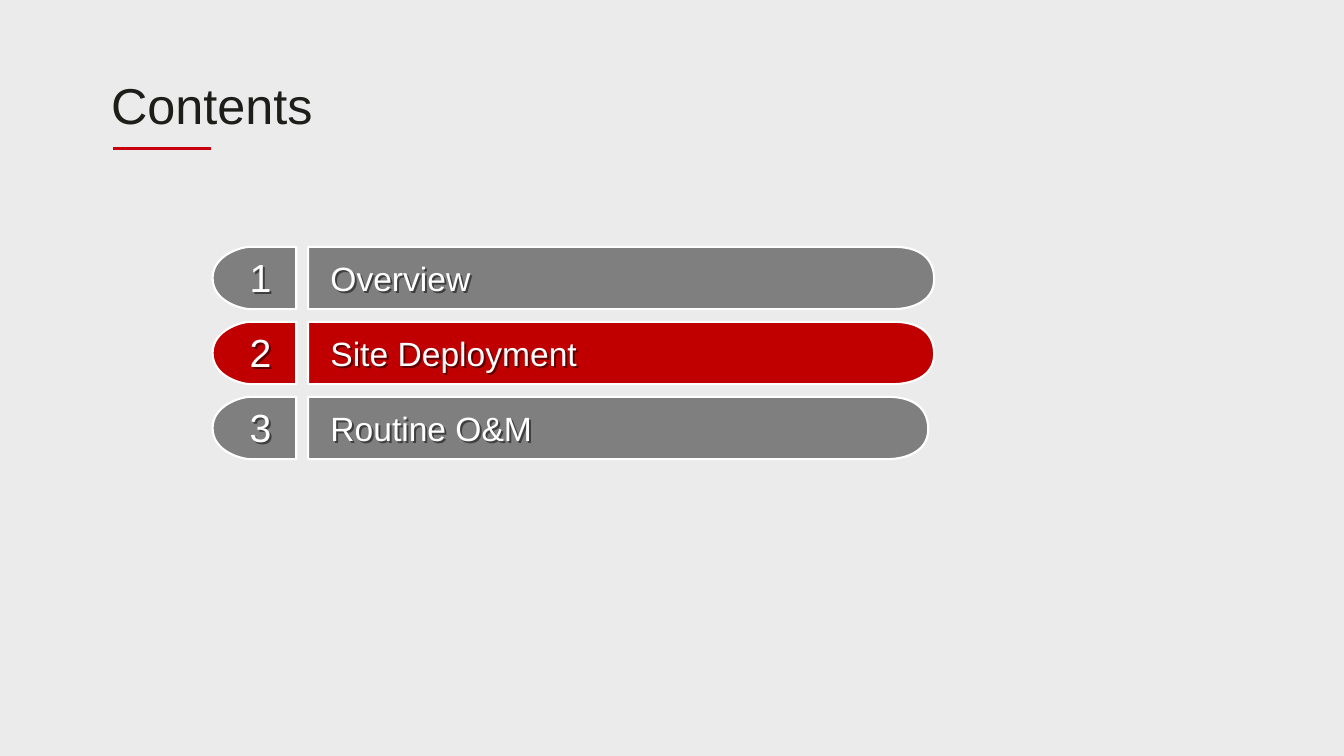
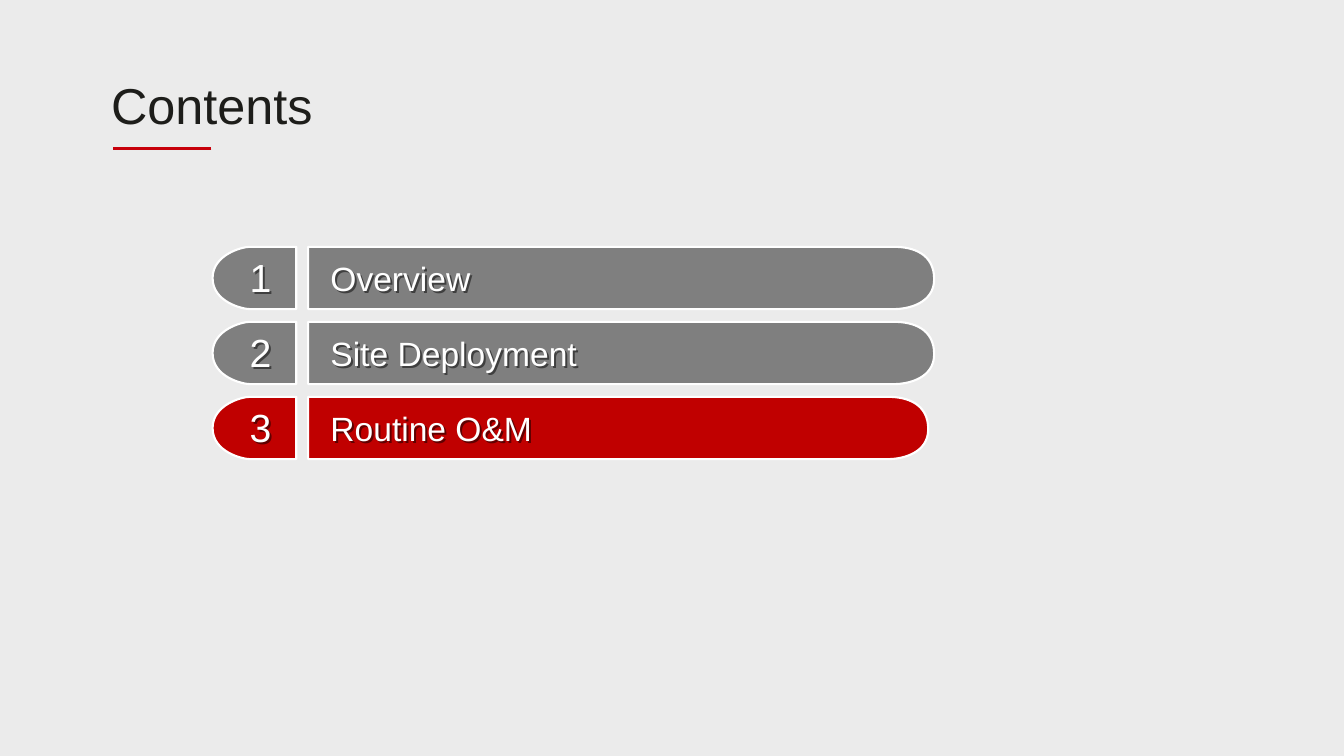
from lxml import etree
from pptx import Presentation
from pptx.dml.color import RGBColor
from pptx.enum.shapes import MSO_CONNECTOR
from pptx.enum.text import MSO_AUTO_SIZE, PP_ALIGN
from pptx.oxml import parse_xml
from pptx.oxml.ns import nsdecls, qn
from pptx.util import Cm, Pt

# Shared style
FONT = "Arial"
PAPER, INK, RULE = "EBEBEB", "1D1D1A", "C7000B"
WHITE, GREY, ACTIVE = "FFFFFF", "7F7F7F", "C00000"

# Agenda: label, label width and bar width in cm
AGENDA = [("Overview", 12.47, 15.78),
          ("Site Deployment", 14.63, 15.78),
          ("Routine O&M", 11.56, 15.63)]
AGENDA_LEFT, AGENDA_TOP, ROW_PITCH, ROW_H = 5.36, 6.22, 1.89, 1.57
TAB_W, GAP = 2.11, 0.3

# Rounded ends: depth in cm, then the start and the control points of two
# Bezier curves as (depth, height) fractions
BAR_CAP = 1.02, [(0, 1), (.38, 1), (1, .9), (1, .52), (1, .11), (.48, 0), (0, 0)]
TAB_CAP = 0.94, [(0, 1), (.19, 1), (1, .89), (1, .5), (1, .13), (.22, 0), (0, 0)]


def rgb(value):
    return RGBColor.from_string(value)


def add_text(shapes, box, text, size, color, align=PP_ALIGN.LEFT, wrap=True):
    tb = shapes.add_textbox(*map(Cm, box))
    tf = tb.text_frame
    tf.text = text
    tf.word_wrap = wrap
    tf.auto_size = MSO_AUTO_SIZE.SHAPE_TO_FIT_TEXT
    p = tf.paragraphs[0]
    p.alignment = align
    r = p.runs[0]
    r.font.size = Pt(size)
    r.font.name = FONT
    r.font.color.rgb = rgb(color)
    return tb


def add_text_shadow(tb):
    tb._element.spPr.append(parse_xml(
        f'<a:effectLst {nsdecls("a")}><a:outerShdw dist="25400" dir="2700000">'
        '<a:srgbClr val="000000"><a:alpha val="50000"/></a:srgbClr>'
        '</a:outerShdw></a:effectLst>'))


def curve_through(segments):
    """Turn three line segments into one Bezier curve with the same points."""
    curve = etree.Element(qn("a:cubicBezTo"))
    segments[0].addprevious(curve)
    for segment in segments:
        curve.append(segment[0])
        segment.getparent().remove(segment)


def add_pill(shapes, flat_x, y, width, cap, direction, color):
    """Draw a bar flat at flat_x and rounded at its far end (direction 1 or -1)."""
    depth, cap_points = cap
    cap_x = flat_x + direction * (width - depth)
    points = [(flat_x, y + ROW_H)]
    points += [(cap_x + direction * depth * dx, y + ROW_H * dy) for dx, dy in cap_points]
    fb = shapes.build_freeform(Cm(flat_x), Cm(y))
    fb.add_line_segments([(Cm(px), Cm(py)) for px, py in points])
    sp = fb.convert_to_shape()
    segments = list(sp._element.iter(qn("a:lnTo")))
    curve_through(segments[2:5])
    curve_through(segments[5:8])
    sp.shadow.inherit = False
    sp.fill.solid()
    sp.fill.fore_color.rgb = rgb(color)
    sp.line.color.rgb = rgb(WHITE)
    sp.line.width = Pt(1.5)


def add_title(s, x, y):
    line = s.shapes.add_connector(MSO_CONNECTOR.STRAIGHT, Cm(x + 2.78), Cm(y + 1.99),
                                  Cm(x + 0.31), Cm(y + 1.99))
    line.line.color.rgb = rgb(RULE)
    line.line.width = Pt(2.25)
    etree.SubElement(line._element.spPr, qn("a:effectLst"))
    add_text(s.shapes, (x, y, 5.64, 1.8), "Contents", 36, INK, wrap=False)


def add_row(s, x, y, number, label, label_w, bar_w, color):
    shapes = s.shapes.add_group_shape().shapes
    bar_x = x + TAB_W + GAP
    add_pill(shapes, bar_x, y, bar_w, BAR_CAP, 1, color)
    add_pill(shapes, x + TAB_W, y, TAB_W, TAB_CAP, -1, color)
    add_text_shadow(add_text(shapes, (bar_x + 0.31, y + 0.15, label_w, 1.27),
                             label, 24, WHITE))
    add_text_shadow(add_text(shapes, (x + 0.67, y + 0.05, 1.07, 1.45),
                             str(number), 28, WHITE, PP_ALIGN.CENTER))


def add_contents_slide(prs, active):
    s = prs.slides.add_slide(prs.slide_layouts[6])
    s.background.fill.solid()
    s.background.fill.fore_color.rgb = rgb(PAPER)
    add_title(s, 2.55, 1.75)
    for i, (label, label_w, bar_w) in enumerate(AGENDA):
        add_row(s, AGENDA_LEFT, AGENDA_TOP + i * ROW_PITCH, i + 1, label, label_w, bar_w,
                ACTIVE if i + 1 == active else GREY)


def main():
    prs = Presentation()
    prs.slide_width, prs.slide_height = Cm(33.88), Cm(19.05)
    for active in (2, 3):
        add_contents_slide(prs, active)
    prs.save("out.pptx")


if __name__ == "__main__":
    main()
